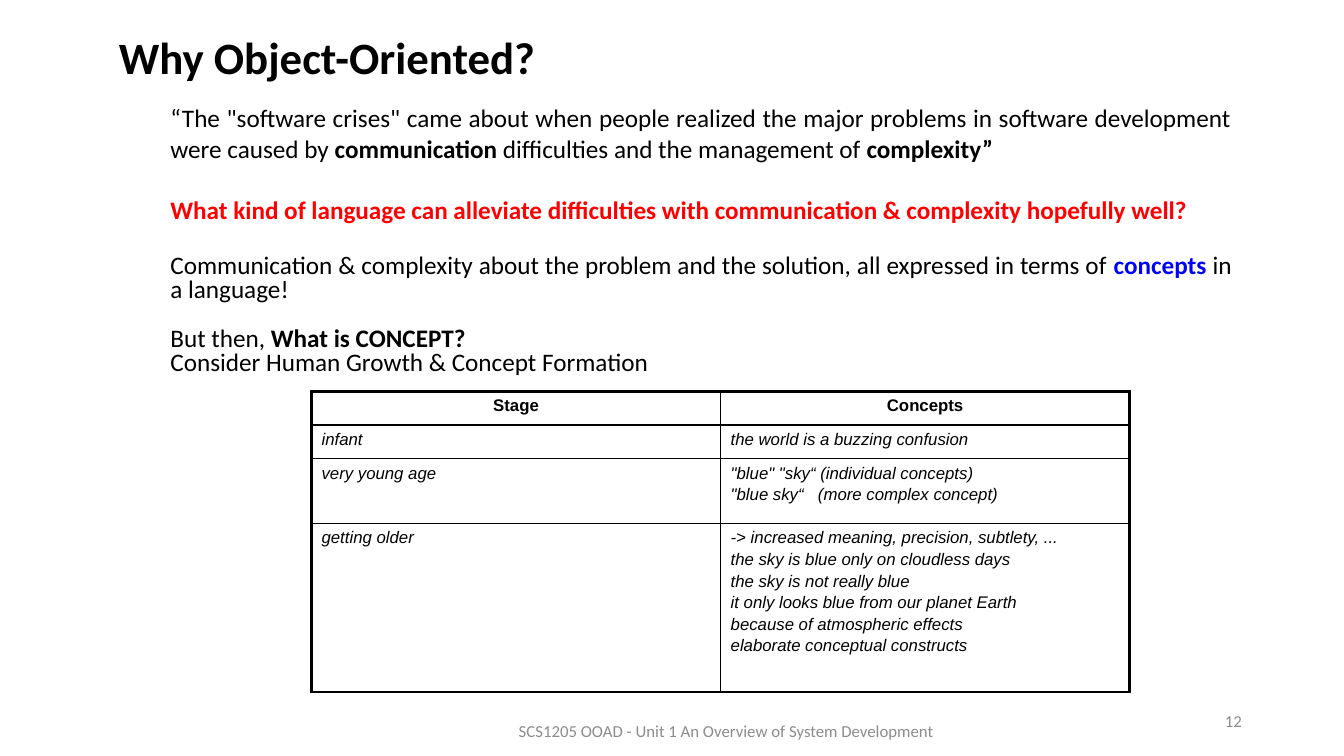
import pptx
import pptx.dml.color
import pptx.enum.text
import pptx.oxml
import pptx.oxml.ns
import pptx.util
from pptx.dml.color import RGBColor
from pptx.enum.text import MSO_ANCHOR, MSO_AUTO_SIZE, PP_ALIGN
from pptx.util import Cm, Pt

BLACK = RGBColor(0x00, 0x00, 0x00)
RED = RGBColor(0xFF, 0x00, 0x00)
BLUE = RGBColor(0x00, 0x00, 0xFF)
GREY = RGBColor(0x8C, 0x8C, 0x8C)

THIN, THICK = Pt(1), Pt(2.25)
FULL, TIGHT = 1.0, 0.8

# Each paragraph: line spacing, space before in points, spans (text, bold, colour)
BODY = [
    (FULL, 0, [
        ('“The "software crises" came about when people realized the major problems '
         'in software development were caused by ', False, BLACK),
        ("communication", True, BLACK),
        (" difficulties and the management of ", False, BLACK),
        ("complexity”", True, BLACK)]),
    (FULL, 22, [
        ("What kind of language can alleviate difficulties with communication "
         "& complexity hopefully well?", True, RED)]),
    (TIGHT, 22, [
        ("Communication & complexity about the problem and the solution, "
         "all expressed in terms of ", False, BLACK),
        ("concepts", True, BLUE),
        (" in a language!", False, BLACK)]),
    (TIGHT, 17.6, [
        ("But then, ", False, BLACK),
        ("What is CONCEPT?", True, BLACK)]),
    (TIGHT, 0, [("Consider Human Growth & Concept Formation", False, BLACK)]),
]

STAGES = [
    (["Stage"], ["Concepts"]),
    (["infant"], ["the world is a buzzing confusion"]),
    (["very young age"],
     ['"blue" "sky“ (individual concepts)', '"blue sky“\t(more complex concept)']),
    (["getting older"],
     ["-> increased meaning, precision, subtlety, ...",
      "the sky is blue only on cloudless days",
      "the sky is not really blue",
      "it only looks blue from our planet Earth",
      "because of atmospheric effects",
      "elaborate conceptual constructs"]),
]
ROW_HEIGHTS = [Cm(0.85), Cm(0.85), Cm(1.63), Cm(4.25)]


def style(font, name, size, colour, bold=False, italic=False):
    font.name, font.size, font.bold, font.italic = name, Pt(size), bold, italic
    font.color.rgb = colour


def place(shape, left, top, width, height, anchor):
    shape.left, shape.top = Cm(left), Cm(top)
    shape.width, shape.height = Cm(width), Cm(height)
    frame = shape.text_frame
    frame.word_wrap = True
    frame.auto_size = MSO_AUTO_SIZE.NONE
    frame.vertical_anchor = anchor
    return frame


def add_title(page):
    frame = place(page.shapes.title, 2.74, 0.61, 16.92, 1.63, MSO_ANCHOR.TOP)
    para = frame.paragraphs[0]
    para.text = "Why Object-Oriented?"
    para.alignment = PP_ALIGN.LEFT
    style(para.font, "Calibri", 32, BLACK, bold=True)


def add_body(page):
    frame = place(page.placeholders[1], 4.04, 2.46, 27.25, 8.71, MSO_ANCHOR.TOP)
    for index, (spacing, before, spans) in enumerate(BODY):
        para = frame.paragraphs[0] if index == 0 else frame.add_paragraph()
        props = para._p.get_or_add_pPr()
        props.set("marL", "0")
        props.set("indent", "0")
        pptx.oxml.ns.qn("a:buNone")
        props.append(pptx.oxml.parse_xml(
            f'<a:buNone {pptx.oxml.ns.nsdecls("a")}/>'))
        para.alignment = PP_ALIGN.JUSTIFY
        para.line_spacing = spacing
        para.space_before = Pt(before)
        para.font.name, para.font.size = "Calibri", Pt(18)
        for text, bold, colour in spans:
            span = para.add_run()
            span.text = text
            span.font.bold = bold
            span.font.color.rgb = colour


def add_footer(page, text, left, top, width, alignment):
    box = page.shapes.add_textbox(0, 0, 0, 0)
    para = place(box, left, top, width, 1.02, MSO_ANCHOR.MIDDLE).paragraphs[0]
    para.text = text
    para.alignment = alignment
    style(para.font, "Calibri", 12, GREY)


def set_borders(cell, widths):
    """Draw black borders; widths are left, right, top, bottom."""
    props = cell._tc.get_or_add_tcPr()
    for index, (side, width) in enumerate(zip("LRTB", widths)):
        props.insert(index, pptx.oxml.parse_xml(
            f'<a:ln{side} {pptx.oxml.ns.nsdecls("a")} w="{width}">'
            f'<a:solidFill><a:srgbClr val="{BLACK}"/></a:solidFill></a:ln{side}>'))


def fill_cell(cell, lines, header):
    for index, line in enumerate(lines):
        frame = cell.text_frame
        para = frame.paragraphs[0] if index == 0 else frame.add_paragraph()
        para.text = line
        para.alignment = PP_ALIGN.CENTER if header else PP_ALIGN.LEFT
        if index:
            para.space_before = Pt(2)
        if "\t" in line:
            para._p.get_or_add_pPr().append(pptx.oxml.parse_xml(
                f'<a:tabLst {pptx.oxml.ns.nsdecls("a")}>'
                f'<a:tab pos="{Cm(2.2)}" algn="l"/></a:tabLst>'))
        style(para.font, "Arial", 12, BLACK, bold=header, italic=not header)


def add_stage_table(page):
    frame = page.shapes.add_table(len(STAGES), 2, Cm(7.85), Cm(9.86),
                                  Cm(20.62), sum(ROW_HEIGHTS))
    table = frame.table
    table.first_row = table.horz_banding = False
    last = len(STAGES) - 1
    for row, (height, texts) in enumerate(zip(ROW_HEIGHTS, STAGES)):
        table.rows[row].height = height
        for column, lines in enumerate(texts):
            cell = table.cell(row, column)
            cell.fill.background()
            outer = (column == 0, column == 1, row == 0, row == last)
            set_borders(cell, [THICK if edge else THIN for edge in outer])
            fill_cell(cell, lines, header=row == 0)


def main():
    deck = pptx.Presentation()
    deck.slide_width, deck.slide_height = Cm(33.87), Cm(19.05)
    page = deck.slides.add_slide(deck.slide_layouts[1])
    add_footer(page, "SCS1205 OOAD - Unit 1 An Overview of System Development",
               11.23, 17.91, 14.15, PP_ALIGN.CENTER)
    add_footer(page, "12", 23.93, 17.65, 7.62, PP_ALIGN.RIGHT)
    add_title(page)
    add_body(page)
    add_stage_table(page)
    deck.save("out.pptx")


if __name__ == "__main__":
    main()
